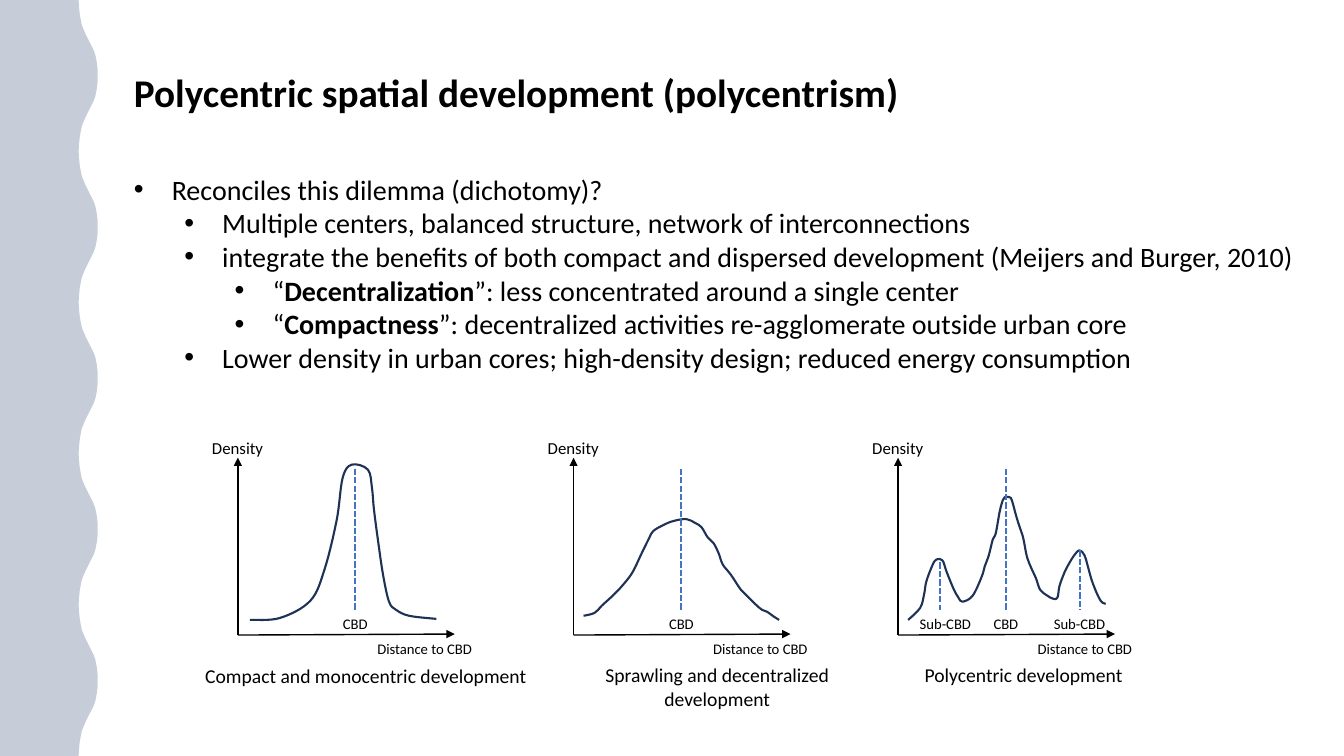
from lxml import etree
from pptx import Presentation
from pptx import util as u
from pptx.dml.color import RGBColor
from pptx.enum import dml, shapes, text
from pptx.oxml import ns

BLACK = RGBColor(0x00, 0x00, 0x00)
NAVY = RGBColor(0x20, 0x38, 0x64)
CURVE = RGBColor(0x1E, 0x32, 0x56)
BLUE = RGBColor(0x44, 0x72, 0xC4)

SLIDE_WIDTH, SLIDE_HEIGHT = 960, 540
BASELINE = 453.6
AXIS_WIDTH, AXIS_HEIGHT = 155, 126.7
PEAK_FOOT = 18
INDENT = 27

# Trough-to-crest half of one wave; the other half is its mirror.
WAVE_LENGTH = 108
HALF_WAVE = [(56.2, 0), (56.5, 5), (57, 10), (57.8, 14.5), (58.5, 18), (61, 24),
             (64, 30), (67, 36), (68.2, 39.5), (69.1, 44), (69.7, 49), (69.8, 54)]

# Level and runs; each run is its wording and whether it is bold.
BULLETS = [
    (0, [("Reconciles this dilemma (dichotomy)?", False)]),
    (1, [("Multiple centers, balanced structure, network of interconnections", False)]),
    (1, [("integrate the benefits of both compact and dispersed development "
          "(Meijers and Burger, 2010)", False)]),
    (2, [("“", False), ("Decentralization", True),
         ("”: less concentrated around a single center", False)]),
    (2, [("“", False), ("Compactness", True),
         ("”: decentralized activities re-agglomerate outside urban core", False)]),
    (1, [("Lower density in urban cores; high-density design; "
          "reduced energy consumption", False)]),
]

# Distance and density are measured from the corner of the axes.
MONOCENTRIC = [
    (8.6, 10.8), (30.2, 12.2), (51.8, 24.5), (61.9, 46.8), (70.6, 82.1), (74.9, 112.3),
    (81.4, 121.7), (92.9, 118.1), (95.8, 105.1), (97.2, 90), (100.1, 67.7), (103.7, 43.2),
    (108, 23.8), (113, 18), (122.4, 13.7), (141.8, 11.5)]
SPRAWLING = [
    (7.2, 13.7), (15.1, 15.8), (20.2, 20.9), (29.5, 29.5), (36.7, 37.4), (42.5, 45.4),
    (49, 59), (54, 69.1), (56.9, 74.2), (64.1, 78.5), (71.3, 81.4), (80.6, 82.8),
    (87.1, 79.9), (91.4, 77), (95.8, 69.8), (100.1, 65.5), (103.7, 58.3), (106.6, 50.4),
    (112.3, 43.2), (119.5, 32.4), (123.8, 28.1), (129.6, 22.3), (134.6, 18),
    (138.2, 16.6), (143.3, 13), (146.9, 10.8)]
POLYCENTRIC = [
    (7.2, 10.8), (15.8, 19.4), (18.7, 29.5), (20.2, 38.2), (24.5, 49.7), (27.4, 54),
    (31.7, 53.3), (34.6, 45.4), (39.6, 33.1), (43.2, 26.6), (46.1, 23.8), (53.3, 28.1),
    (59.8, 41.8), (61.9, 49), (64.8, 56.9), (67.7, 68.4), (69.8, 72.7), (72.7, 88.6),
    (74.9, 96.5), (76.3, 98.6), (79.2, 98.6), (80.6, 97.9), (82.1, 93.6), (84.2, 85.7),
    (86.4, 78.5), (89.3, 69.8), (90.7, 62.6), (92.2, 55.4), (95, 48.2), (98.6, 40.3),
    (101.5, 32.4), (106.6, 28.1), (110.9, 25.9), (113.8, 26.6), (115.2, 34.6),
    (117.4, 41), (120.2, 47.5), (125.3, 56.2), (129.6, 60.5), (133.2, 56.9),
    (135.4, 49.7), (138.2, 39.6), (141.8, 30.2), (144.7, 24.5), (146.2, 23), (148.3, 22.3)]

# Left of axes, density curve, peaks (label, label centre, line, line top),
# caption, caption centre and caption top.
PANELS = [
    (169.9, MONOCENTRIC, [("CBD", 83.9, 83.5, 118.8)],
     "Compact and monocentric development", 261.4, 470.9),
    (409.7, SPRAWLING, [("CBD", 77, 77, 118.8)],
     "Sprawling and decentralized development", 512.3, 470.2),
    (641.5, POLYCENTRIC, [("Sub-CBD", 33.8, 29.9, 51.8), ("CBD", 77, 77, 118.8),
                          ("Sub-CBD", 129.6, 129.9, 60.5)],
     "Polycentric development", 731.2, 470.2),
]


def add_text(page, paragraphs, left, top, width, height, size, bold=False,
             align=None, wrap=True):
    """Add a text box; paragraphs are (level, runs), with level None for no bullet."""
    box = page.shapes.add_textbox(u.Pt(left), u.Pt(top), u.Pt(width), u.Pt(height))
    frame = box.text_frame
    frame.word_wrap = wrap
    frame.auto_size = text.MSO_AUTO_SIZE.SHAPE_TO_FIT_TEXT
    for index, (level, runs) in enumerate(paragraphs):
        para = frame.paragraphs[0] if index == 0 else frame.add_paragraph()
        para.alignment = align
        if level is not None:
            add_bullet(para, level)
        for wording, strong in runs:
            span = para.add_run()
            span.text = wording
            span.font.name = "Calibri"
            span.font.size = u.Pt(size)
            span.font.bold = bold or strong
            span.font.color.rgb = BLACK


def add_bullet(para, level):
    para.level = level
    properties = para._p.get_or_add_pPr()
    properties.set("marL", str(u.Pt(INDENT + 36 * level)))
    properties.set("indent", str(u.Pt(-INDENT)))
    etree.SubElement(properties, ns.qn("a:buFont")).set("typeface", "Arial")
    etree.SubElement(properties, ns.qn("a:buChar")).set("char", "•")


def add_label(page, wording, center, top, width, height, size):
    add_text(page, [(None, [(wording, False)])], center - width / 2, top, width, height,
             size, align=text.PP_ALIGN.CENTER, wrap=False)


def add_line(page, start, end, color, weight, dash=None, arrow=False):
    line = page.shapes.add_connector(shapes.MSO_CONNECTOR.STRAIGHT,
                                     *(u.Pt(value) for value in (*start, *end)))
    line.line.color.rgb = color
    line.line.width = u.Pt(weight)
    if dash:
        line.line.dash_style = dash
    if arrow:
        outline = line.line._get_or_add_ln()
        etree.SubElement(outline, ns.qn("a:tailEnd")).set("type", "triangle")
    etree.SubElement(line.element.spPr, ns.qn("a:effectLst"))


def add_outline(page, points, close):
    points = [(u.Pt(x), u.Pt(y)) for x, y in points]
    builder = page.shapes.build_freeform(*points[0], scale=1.0)
    builder.add_line_segments(points[1:], close=close)
    shape = builder.convert_to_shape()
    shape.shadow.inherit = False
    return shape


def round_segments(shape):
    """Turn straight segments into Bezier curves through the same points."""
    points = [(int(node.get("x")), int(node.get("y")))
              for node in shape.element.iter(ns.qn("a:pt"))]
    for index, segment in enumerate(shape.element.xpath(".//a:lnTo")):
        before, start = points[max(index - 1, 0)], points[index]
        end, after = points[index + 1], points[min(index + 2, len(points) - 1)]
        leave = [s + (e - b) / 6 for b, s, e in zip(before, start, end)]
        arrive = [e - (a - s) / 6 for s, e, a in zip(start, end, after)]
        curve = etree.Element(ns.qn("a:cubicBezTo"))
        for x, y in (leave, arrive, end):
            node = etree.SubElement(curve, ns.qn("a:pt"))
            node.set("x", str(round(x)))
            node.set("y", str(round(y)))
        segment.getparent().replace(segment, curve)


def add_wavy_band(page):
    wave = HALF_WAVE + [(x, WAVE_LENGTH - y) for x, y in HALF_WAVE[-2::-1]]
    edge = [(x, y + top) for top in range(0, SLIDE_HEIGHT, WAVE_LENGTH) for x, y in wave]
    band = add_outline(page, [(0, 0), *edge, (0, SLIDE_HEIGHT)], close=True)
    band.fill.solid()
    band.fill.fore_color.rgb = NAVY
    color = band.element.spPr.find(ns.qn("a:solidFill"))[0]
    etree.SubElement(color, ns.qn("a:alpha")).set("val", "25000")
    band.line.fill.background()


def add_density_panel(page, left, curve, peaks, caption, caption_center, caption_top):
    corner = (left, BASELINE)
    line = add_outline(page, [(left + x, BASELINE - y) for x, y in curve], close=False)
    round_segments(line)
    line.fill.background()
    line.line.color.rgb = CURVE
    line.line.width = u.Pt(1.5)
    for name, center, x, height in peaks:
        add_line(page, (left + x, BASELINE - height), (left + x, BASELINE - PEAK_FOOT),
                 BLUE, 1.5, dash=dml.MSO_LINE.SQUARE_DOT)
        add_label(page, name, left + center, BASELINE - PEAK_FOOT,
                  32 if name == "CBD" else 52, 20, 10.5)
    for tip in ((left + AXIS_WIDTH, BASELINE - 0.7), (left, BASELINE - AXIS_HEIGHT)):
        add_line(page, corner, tip, BLACK, 1, arrow=True)
    add_label(page, "Distance to CBD", left + 133.4, BASELINE, 83.5, 20, 10.5)
    add_label(page, "Density", left - 0.2, 308.9, 51, 21.8, 12)
    add_label(page, caption, caption_center, caption_top, 250, 24.2, 14)


def main():
    deck = Presentation()
    deck.slide_width, deck.slide_height = u.Pt(SLIDE_WIDTH), u.Pt(SLIDE_HEIGHT)
    page = deck.slides.add_slide(deck.slide_layouts[6])
    add_wavy_band(page)
    add_text(page, [(None, [("Polycentric spatial development (polycentrism)", True)])],
             88.6, 45.4, 679, 41, 28)
    add_text(page, BULLETS, 88.6, 119.5, 859, 152.6, 20)
    for panel in PANELS:
        add_density_panel(page, *panel)
    deck.save("out.pptx")


if __name__ == "__main__":
    main()
